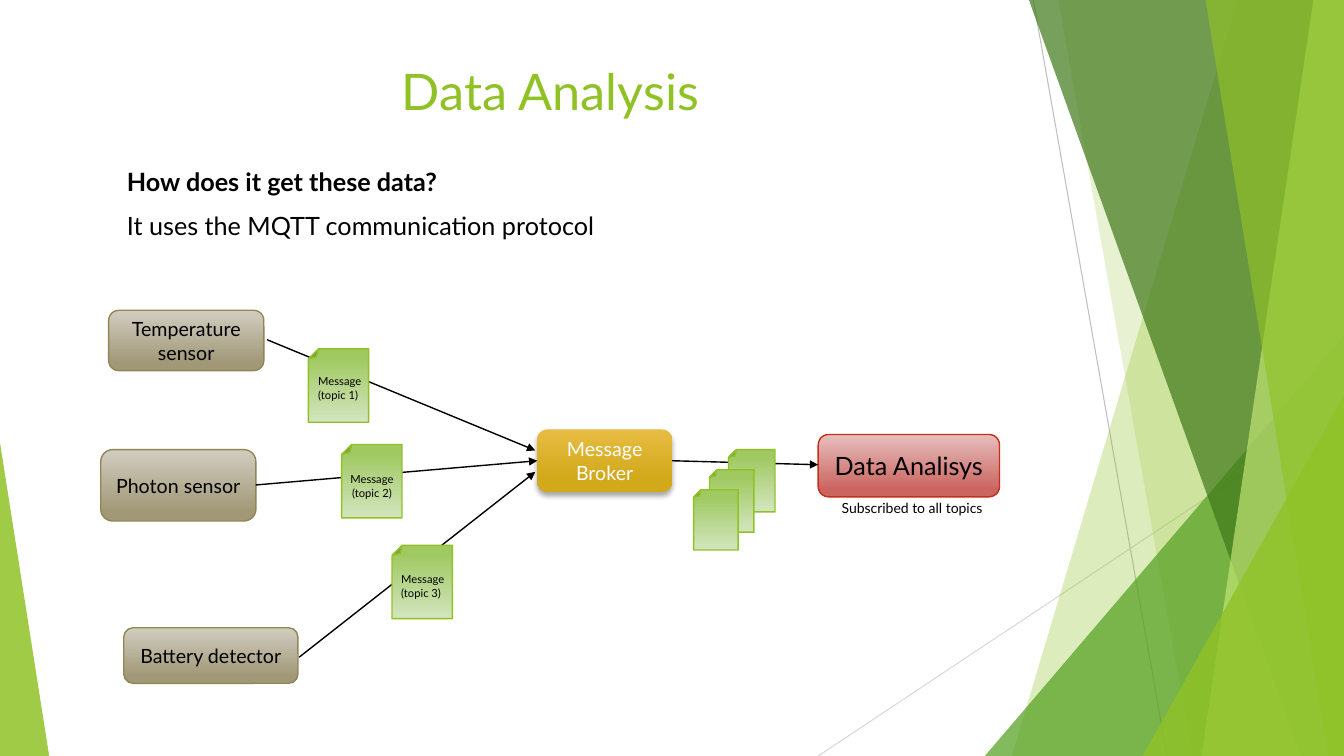
from lxml import etree
from pptx import Presentation
from pptx.dml.color import RGBColor
from pptx.enum.shapes import MSO_CONNECTOR, MSO_SHAPE
from pptx.enum.text import MSO_ANCHOR, MSO_AUTO_SIZE, PP_ALIGN
from pptx.oxml.ns import qn
from pptx.util import Cm, Pt

STRAIGHT = MSO_CONNECTOR.STRAIGHT
ROUNDED = MSO_SHAPE.ROUNDED_RECTANGLE
FOLDED = MSO_SHAPE.FOLDED_CORNER
TRIANGLE = MSO_SHAPE.ISOSCELES_TRIANGLE
LEFT, CENTER = PP_ALIGN.LEFT, PP_ALIGN.CENTER
MIDDLE = MSO_ANCHOR.MIDDLE
FIT = MSO_AUTO_SIZE.SHAPE_TO_FIT_TEXT

FONT = "Lato"
WIDTH, HEIGHT = 33.87, 19.05
COLORS = {
    "black": "000000", "white": "FFFFFF", "green": "90C226",
    "leaf": "54A021", "forest": "3F7819", "lime": "C0E474",
    "gray": "BFBFBF", "pale gray": "D9D9D9",
}
# Style: top colour, bottom colour, position of the last stop, outline
STYLES = {
    "sensor": ("D1CDC0", "A19877", 0.88, "918655"),
    "broker": ("E7BC43", "D2A91B", 0.78, None),
    "analysis": ("E6BFBE", "CB6560", 0.88, "C42F1A"),
    "message": ("D3E5BE", "A0C962", 0.88, "90C226"),
}

# Background: bands are (top x, bottom x), triangles are (frame, apex)
RAYS = [((26.04, 0), (29.41, HEIGHT), "gray"),
        ((WIDTH, 10.24), (20.62, HEIGHT), "pale gray")]
FACETS = [
    ("band", (31.19, 25.5), "green", 30),
    ("band", (26.67, 30.05), "green", 20),
    ("triangle", ((24.82, 8.46, 9.05, 10.59), 1), "leaf", 72),
    ("band", (25.93, 32.79), "forest", 70),
    ("band", (33.1, 30.28), "lime", 70),
    ("band", (30.38, 33.48), "green", 65),
    ("triangle", ((28.8, 9.98, 5.07, 9.07), 1), "green", 80),
    ("triangle", ((0, 11.15, 1.24, 7.9), 0), "green", 85),
]

NODES = [
    ("Temperature sensor", (2.74, 7.82, 3.91, 1.52), "sensor", 14, "black"),
    ("Photon sensor", (2.54, 11.33, 3.91, 1.8), "sensor", 14, "black"),
    ("Battery detector", (3.12, 15.82, 4.39, 1.4), "sensor", 14, "black"),
    ("Message Broker", (13.54, 10.82, 3.4, 1.57), "broker", 14, "white"),
    ("Data Analisys", (20.62, 10.95, 4.57, 1.57), "analysis", 18, "black"),
]
ARROWS = [
    ((6.73, 8.56), (13.49, 11.35)),
    ((6.45, 12.22), (13.54, 11.61)),
    ((7.54, 16.56), (13.49, 11.89)),
    ((16.94, 11.61), (20.62, 11.71)),
]
MESSAGES = [
    (7.77, 8.79, 1.52, 1.85), (8.61, 11.2, 1.52, 1.85), (9.88, 13.74, 1.52, 1.85),
    (18.36, 11.33, 1.17, 1.57), (17.88, 11.84, 1.12, 1.57), (17.48, 12.34, 1.12, 1.52),
]
# Text boxes: lines, frame, size, colour, alignment, space before
LABELS = [
    (["Data Analysis"], (9.88, 1.4, 11.81, 1.8), 36, "green", LEFT, 0),
    (["How does it get these data?", "It uses the MQTT communication protocol"],
     (2.95, 4.06, 17.63, 2.16), 18, "black", LEFT, 10),
    (["Message\v(topic 1)"], (7.77, 9.32, 1.78, 1.7), 8, "black", LEFT, 0),
    (["Message\v(topic 2)"], (8.46, 11.79, 1.83, 0.94), 8, "black", CENTER, 0),
    (["Message\v(topic 3)"], (9.86, 14.3, 1.88, 1.7), 8, "black", LEFT, 0),
    (["Subscribed to all topics"], (20.96, 12.47, 4.24, 0.69), 10, "black", LEFT, 0),
]


def lengths(values):
    """Turn centimetre numbers into slide lengths."""
    return [Cm(value) for value in values]


def write(frame, lines, size, color, align, before=0):
    """Fill a text frame with one paragraph per line."""
    frame.word_wrap = True
    frame.text = "\n".join(lines)
    for para in frame.paragraphs:
        para.alignment = align
        para.space_before = Pt(before)
        para.font.name, para.font.size = FONT, Pt(size)
        para.font.color.rgb = RGBColor.from_string(COLORS[color])


def add_line(page, start, end, color, width, arrow=False):
    """Draw a straight line, with an arrowhead at its end if asked."""
    line = page.shapes.add_connector(STRAIGHT, *lengths(start + end))
    line.line.color.rgb = RGBColor.from_string(COLORS[color])
    line.line.width = Pt(width)
    if arrow:
        etree.SubElement(line.line._get_or_add_ln(), qn("a:tailEnd"), type="triangle")
    etree.SubElement(line._element.spPr, qn("a:effectLst"))


def add_facet(page, kind, geometry, color, opacity):
    """Draw one translucent background band or triangle."""
    if kind == "band":
        top, bottom = geometry
        corners = [(WIDTH, 0), (WIDTH, HEIGHT), (bottom, HEIGHT)]
        builder = page.shapes.build_freeform(Cm(top), 0)
        builder.add_line_segments([lengths(corner) for corner in corners])
        facet = builder.convert_to_shape()
    else:
        frame, apex = geometry
        facet = page.shapes.add_shape(TRIANGLE, *lengths(frame))
        facet.adjustments[0] = apex
    facet.shadow.inherit = False
    facet.line.fill.background()
    facet.fill.solid()
    facet.fill.fore_color.rgb = RGBColor.from_string(COLORS[color])
    tint = facet._element.spPr.find(".//" + qn("a:srgbClr"))
    etree.SubElement(tint, qn("a:alpha"), val=str(opacity * 1000))


def add_gradient_shape(page, preset, frame, style):
    """Draw a preset shape with a vertical gradient and a thin outline."""
    first, last, position, outline = STYLES[style]
    shape = page.shapes.add_shape(preset, *lengths(frame))
    shape.shadow.inherit = False
    shape.fill.gradient()
    shape.fill.gradient_angle = 270
    for stop, color, place in zip(shape.fill.gradient_stops, (first, last), (0, position)):
        stop.color.rgb = RGBColor.from_string(color)
        stop.position = place
    if outline:
        shape.line.color.rgb = RGBColor.from_string(outline)
        shape.line.width = Pt(1)
    else:
        shape.line.fill.background()
    return shape


def add_drop_shadow(shape):
    """Give a shape a soft shadow straight below it."""
    effects = shape._element.spPr.find(qn("a:effectLst"))
    shadow = etree.SubElement(effects, qn("a:outerShdw"), blurRad=str(Pt(4)),
                              dist=str(Pt(3)), dir="5400000", rotWithShape="0")
    tint = etree.SubElement(shadow, qn("a:srgbClr"), val=COLORS["black"])
    etree.SubElement(tint, qn("a:alpha"), val="35000")


deck = Presentation()
deck.slide_width, deck.slide_height = lengths((WIDTH, HEIGHT))
page = deck.slides.add_slide(deck.slide_layouts[6])

for start, end, color in RAYS:
    add_line(page, start, end, color, 0.75)
for facet in FACETS:
    add_facet(page, *facet)

for text, frame, style, size, color in NODES:
    node = add_gradient_shape(page, ROUNDED, frame, style)
    node.text_frame.vertical_anchor = MIDDLE
    write(node.text_frame, [text], size, color, CENTER)
    if style == "broker":
        add_drop_shadow(node)
for start, end in ARROWS:
    add_line(page, start, end, "black", 1, arrow=True)
for frame in MESSAGES:
    message = add_gradient_shape(page, FOLDED, frame, "message")
    message.rotation = 180

for lines, frame, size, color, align, before in LABELS:
    box = page.shapes.add_textbox(*lengths(frame))
    write(box.text_frame, lines, size, color, align, before)
    box.text_frame.auto_size = FIT
    if len(lines) > 1:
        box.text_frame.paragraphs[0].font.bold = True

deck.save("out.pptx")
